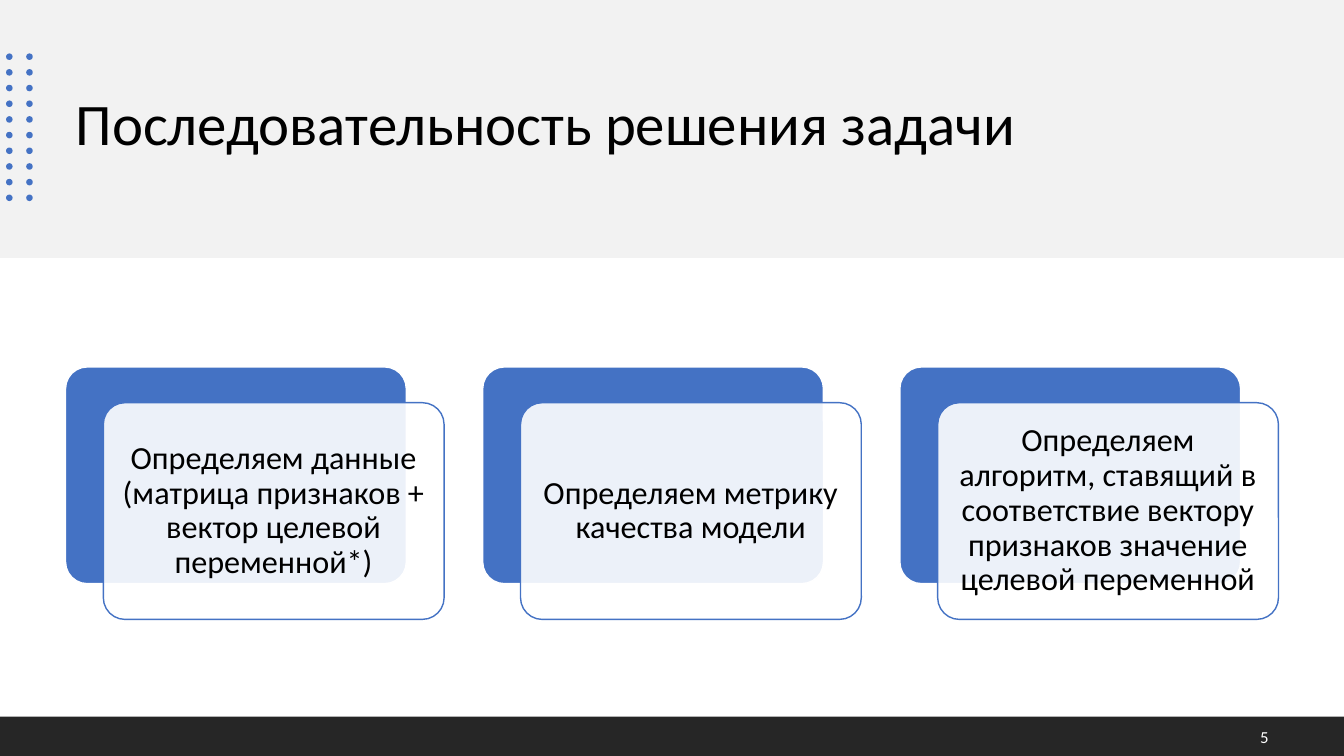
from lxml.etree import SubElement
from pptx import Presentation
from pptx.dml.color import RGBColor
from pptx.enum.shapes import MSO_SHAPE as Shape
from pptx.enum.text import MSO_ANCHOR as Anchor, PP_ALIGN as Align
from pptx.oxml.ns import qn
from pptx.util import Inches, Pt

COLORS = {
    "band": "F2F2F2",
    "accent": "4472C4",
    "footer": "262626",
    "white": "FFFFFF",
    "black": "000000",
}
SLIDE_WIDTH, SLIDE_HEIGHT = 13.33, 7.5
STEPS = [
    "Определяем данные (матрица признаков + вектор целевой переменной*)",
    "Определяем метрику качества модели",
    "Определяем алгоритм, ставящий в соответствие вектору признаков значение целевой переменной",
]


def color(name):
    return RGBColor.from_string(COLORS[name])


def write(shape, text, size, ink="black", align=Align.LEFT, spacing=1.0, inset=0.1):
    frame = shape.text_frame
    frame.word_wrap = True
    frame.vertical_anchor = Anchor.MIDDLE
    frame.margin_left = frame.margin_right = Inches(inset)
    frame.margin_top = frame.margin_bottom = Inches(inset / 2)
    para = frame.paragraphs[0]
    para.alignment = align
    para.line_spacing = spacing
    span = para.add_run()
    span.text = text
    span.font.name = "Calibri"
    span.font.size = Pt(size)
    span.font.color.rgb = color(ink)


def add_block(parent, kind, left, top, width, height, fill, line=None, alpha=None):
    block = parent.shapes.add_shape(
        kind, Inches(left), Inches(top), Inches(width), Inches(height)
    )
    block.shadow.inherit = False
    block.fill.solid()
    block.fill.fore_color.rgb = color(fill)
    if alpha is not None:
        tint = block.fill._xPr.find(qn("a:solidFill"))[0]
        SubElement(tint, qn("a:alpha"), val=str(alpha * 1000))
    if line:
        block.line.color.rgb = color(line)
        block.line.width = Pt(1)
    else:
        block.line.fill.background()
    return block


def add_header(page, height):
    band = add_block(page, Shape.RECTANGLE, 0, 0, SLIDE_WIDTH, height, "band")
    title = page.shapes.title
    band._element.addnext(title._element)
    title.left, title.top = Inches(0.65), Inches(0.37)
    title.width, title.height = Inches(12.03), Inches(1.77)
    write(title, "Последовательность решения задачи", 42, spacing=0.9)


def add_dots(page, left, top, height, rows=10, columns=2):
    group = page.shapes.add_group_shape()
    diameter = 0.065
    pitch = (height - diameter) / (rows - 1)
    for row in range(rows):
        for column in range(columns):
            add_block(group, Shape.OVAL, left + 0.2 * column, top + pitch * row,
                      diameter, diameter, "accent")


def add_footer(page, top, number):
    height = SLIDE_HEIGHT - top
    add_block(page, Shape.RECTANGLE, 0, top, SLIDE_WIDTH, height, "footer")
    box = page.shapes.add_textbox(Inches(9.68), Inches(top), Inches(3), Inches(height))
    write(box, number, 12, ink="white", align=Align.RIGHT)


def add_step(page, text, left, top, width, height):
    shift_x, shift_y = 0.375, 0.355
    card_width, card_height = width - shift_x, height - shift_y
    group = page.shapes.add_group_shape()
    back = add_block(group, Shape.ROUNDED_RECTANGLE, left, top,
                     card_width, card_height, "accent", line="white")
    front = add_block(group, Shape.ROUNDED_RECTANGLE, left + shift_x, top + shift_y,
                      card_width, card_height, "white", line="accent", alpha=90)
    for card in (back, front):
        card.adjustments[0] = 0.1
    write(front, text, 23, align=Align.CENTER, spacing=0.9)


def add_steps(page, left, top, width, height):
    step_width = 3.755
    pitch = (width - step_width) / (len(STEPS) - 1)
    for index, text in enumerate(STEPS):
        add_step(page, text, left + pitch * index, top, step_width, height)


def main():
    deck = Presentation()
    deck.slide_width, deck.slide_height = Inches(SLIDE_WIDTH), Inches(SLIDE_HEIGHT)
    page = deck.slides.add_slide(deck.slide_layouts[5])
    add_header(page, 2.56)
    add_dots(page, 0.06, 0.53, 1.465)
    add_footer(page, 7.11, "5")
    add_steps(page, 0.65, 3.64, 12.03, 2.505)
    deck.save("out.pptx")


if __name__ == "__main__":
    main()
